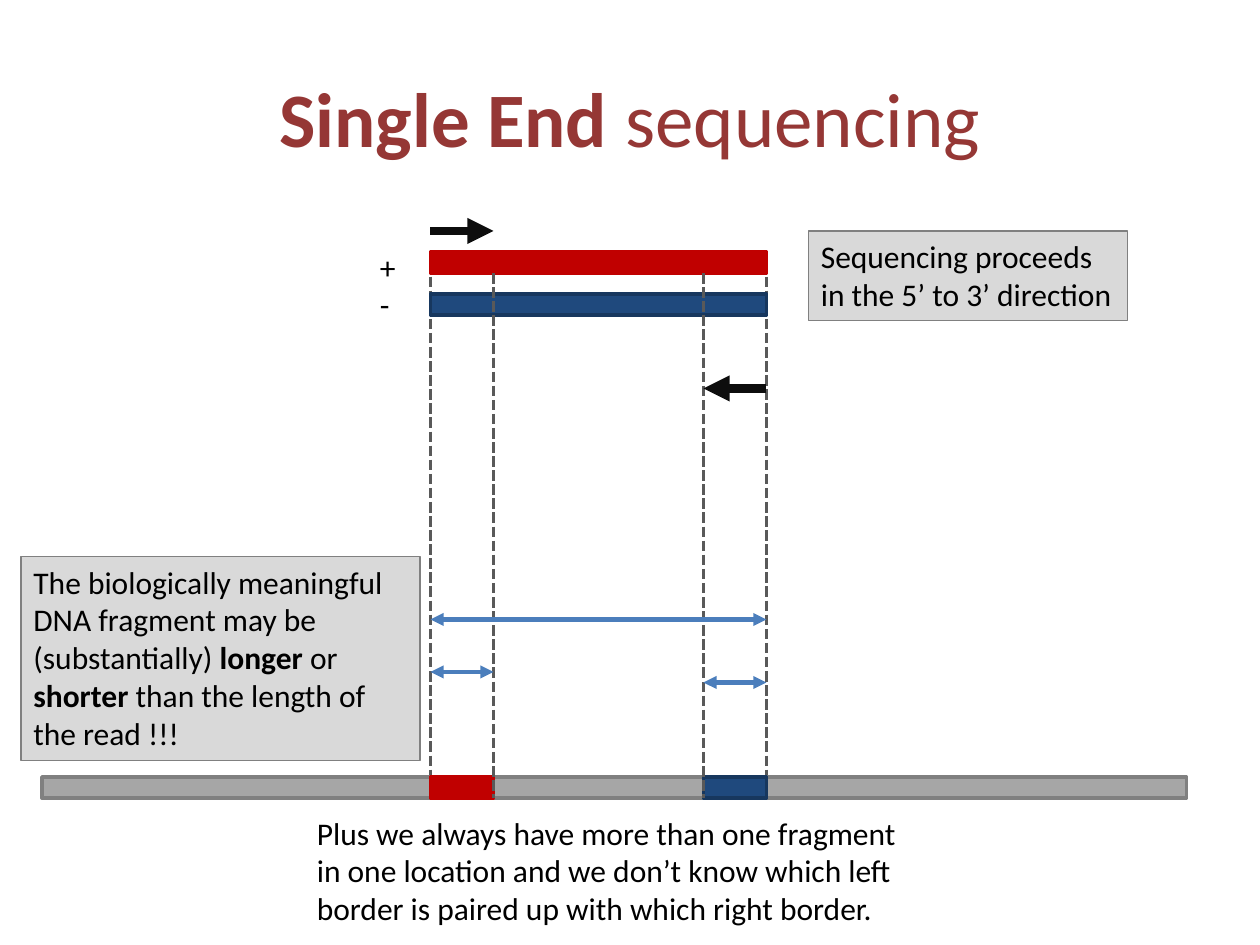
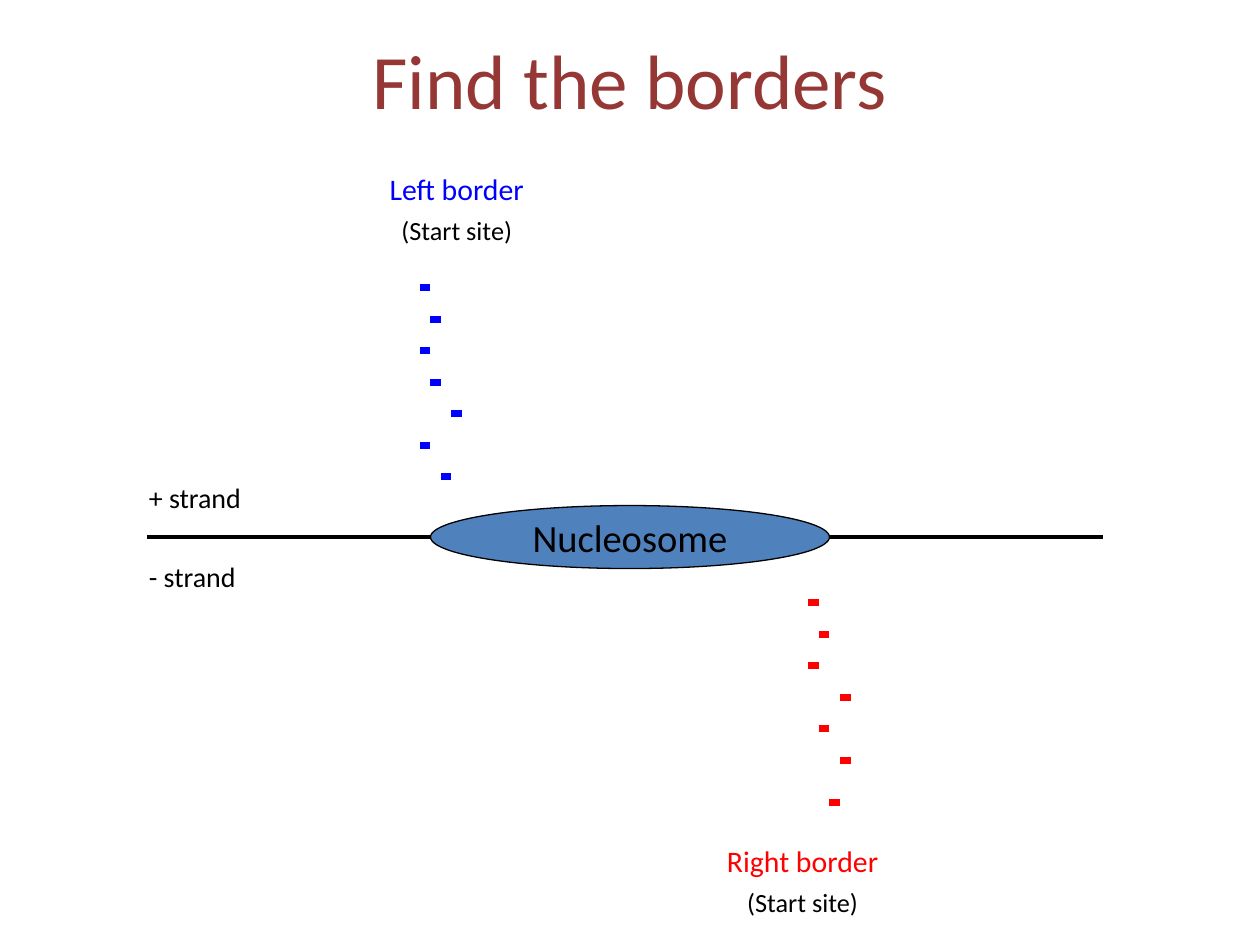
"""Build two slides on sequencing reads and nucleosome borders."""
from dataclasses import dataclass
from typing import NamedTuple

from lxml.etree import SubElement
from pptx import Presentation
from pptx.dml.color import RGBColor as Rgb
from pptx.enum.dml import MSO_LINE as Dash
from pptx.enum.shapes import MSO_CONNECTOR as Wire, MSO_SHAPE as Form
from pptx.enum.text import MSO_ANCHOR as Anchor, MSO_AUTO_SIZE as Fit, PP_ALIGN as Align
from pptx.oxml.ns import qn
from pptx.util import Inches, Pt

COLS, ROWS = 120, 90
WIDE, HIGH = Inches(10), Inches(7.5)
FONT = "Calibri"
HUES = {
    "title": "953735", "text": "000000", "panel": "D9D9D9", "edge": "808080",
    "plus": "C00000", "minus": "1F497D", "rim": "17375E", "genome": "A6A6A6",
    "guide": "595959", "read": "0D0D0D", "span": "4B7EBC", "core": "4F81BD",
    "left": "0000FF", "right": "FF0000",
}


class Run(NamedTuple):
    """A stretch of text in one style."""
    text: str
    size: float = 18
    hue: str = "text"
    bold: bool = False


class Spot(NamedTuple):
    """A place in grid columns and rows."""
    col: float
    row: float
    wide: float
    high: float


@dataclass(frozen=True)
class Pen:
    """A line style."""
    hue: str
    width: float
    dash: bool = False
    head: bool = False
    tail: bool = False


@dataclass(frozen=True)
class Border:
    """A set of read starts with its label."""
    name: str
    hue: str
    label: Spot
    row: float
    cols: tuple
    drop: float = 0


GUIDE = Pen("guide", 2, dash=True)
READ = Pen("read", 5, tail=True)
SPAN = Pen("span", 2.5, head=True, tail=True)
PANEL = Pen("edge", 0.75)
LEFT, NEAR, FAR, RIGHT = 41, 47, 67, 73
BASE, THICK = 74, 2
BORDERS = (
    Border("Left border", "left", Spot(34.8, 14.8, 17.4, 9.24), 27.4,
           (40, 41, 40, 41, 43, 40, 42)),
    Border("Right border", "right", Spot(66.72, 78.84, 19.44, 9.24), 57.4,
           (77, 78, 77, 80, 78, 80, 79), 1),
)


def x(col: float) -> int:
    """Turn a grid column into a length."""
    return round(WIDE * col / COLS)


def y(row: float) -> int:
    """Turn a grid row into a length."""
    return round(HIGH * row / ROWS)


def place(spot: Spot) -> tuple:
    """Turn a spot into left, top, width and height."""
    return x(spot.col), y(spot.row), x(spot.wide), y(spot.high)


def tint(hue: str) -> Rgb:
    """Look up a colour."""
    return Rgb.from_string(HUES[hue])


def write(frame, paras: list, align=Align.LEFT, gap: float = 1.0) -> None:
    """Fill a text frame run by run."""
    for num, runs in enumerate(paras):
        para = frame.add_paragraph() if num else frame.paragraphs[0]
        para.alignment = align
        if gap != 1:
            para.line_spacing = gap
        for item in runs:
            run = para.add_run()
            run.text = item.text
            font = run.font
            font.name, font.size, font.bold = FONT, Pt(item.size), item.bold
            font.color.rgb = tint(item.hue)


def start(deck, top: float, runs: list):
    """Add a slide with its title."""
    slide = deck.slides.add_slide(deck.slide_layouts[5])
    title = slide.shapes.title
    title.left, title.top, title.width, title.height = place(Spot(6, top, 108, 15))
    title.text_frame.vertical_anchor = Anchor.MIDDLE
    write(title.text_frame, [runs], Align.CENTER)
    return slide


def block(slide, spot: Spot, fill: str, pen: Pen, form=Form.RECTANGLE):
    """Draw a filled shape."""
    shape = slide.shapes.add_shape(form, *place(spot))
    shape.shadow.inherit = False
    shape.fill.solid()
    shape.fill.fore_color.rgb = tint(fill)
    shape.line.color.rgb = tint(pen.hue)
    shape.line.width = Pt(pen.width)
    return shape


def panel(slide, spot: Spot, runs: list) -> None:
    """Draw a grey note."""
    frame = block(slide, spot, "panel", PANEL).text_frame
    frame.word_wrap = True
    frame.vertical_anchor = Anchor.TOP
    write(frame, [runs])


def label(slide, spot: Spot, paras: list, wrap: bool = False,
          align=Align.LEFT, gap: float = 1.0) -> None:
    """Add a text box."""
    frame = slide.shapes.add_textbox(*place(spot)).text_frame
    frame.word_wrap = wrap
    frame.auto_size = Fit.SHAPE_TO_FIT_TEXT
    write(frame, paras, align, gap)


def stroke(slide, col: float, row: float, end: float, foot: float, pen: Pen):
    """Draw a straight line between two grid points."""
    wire = slide.shapes.add_connector(Wire.STRAIGHT, x(col), y(row), x(end), y(foot))
    SubElement(wire._element.spPr, qn("a:effectLst"))
    wire.line.color.rgb = tint(pen.hue)
    wire.line.width = Pt(pen.width)
    if pen.dash:
        wire.line.dash_style = Dash.SQUARE_DOT
    for tag, shown in (("a:headEnd", pen.head), ("a:tailEnd", pen.tail)):
        if shown:
            SubElement(wire.line._get_or_add_ln(), qn(tag), type="triangle")
    return wire


def single(deck) -> None:
    """Build the single end slide."""
    slide = start(deck, 3.6, [Run("Single End ", 44, "title", True),
                              Run("sequencing", 44, "title")])
    panel(slide, Spot(77, 22, 30.36, 8.52),
          [Run("Sequencing proceeds in the 5’ to 3’ direction")])
    outer = [stroke(slide, col, 25, col, 75, GUIDE) for col in (LEFT, RIGHT)]
    red, blue, grey = Pen("plus", 2), Pen("rim", 2), Pen("edge", 2)
    full, part = RIGHT - LEFT, NEAR - LEFT
    strand = block(slide, Spot(LEFT, 24, full, THICK), "plus", red)
    block(slide, Spot(LEFT, 28, full, THICK), "minus", blue)
    block(slide, Spot(4, BASE, 109, THICK), "genome", grey)
    ends = (block(slide, Spot(LEFT, BASE, part, THICK), "plus", red),
            block(slide, Spot(FAR, BASE, part, THICK), "minus", blue))
    for wire, end, side in zip(outer, ends, (1, 3)):
        wire.begin_connect(strand, side)
        wire.end_connect(end, side)
    label(slide, Spot(35, 23, 4, 8.52), [[Run("+")], [Run("-")]])
    label(slide, Spot(29, 76.9, 60, 12.12), [[Run(
        "Plus we always have more than one fragment in one location and we "
        "don’t know which left border is paired up with which right border.")]], True)
    panel(slide, Spot(2, 53, 38, 19.44), [
        Run("The biologically meaningful DNA fragment may be (substantially) "),
        Run("longer", bold=True), Run(" or "), Run("shorter", bold=True),
        Run(" than the length of the read !!!")])
    for col in (NEAR, FAR):
        stroke(slide, col, 26, col, 76, GUIDE)
    for col, end, row, pen in ((LEFT, NEAR, 22, READ), (RIGHT, FAR, 37, READ),
                               (LEFT, RIGHT, 59, SPAN), (LEFT, NEAR, 64, SPAN),
                               (FAR, RIGHT, 65, SPAN)):
        stroke(slide, col, row, end, row, pen)


def borders(deck) -> None:
    """Build the border slide."""
    slide = start(deck, 0, [Run("Find the borders", 44, "title")])
    stroke(slide, 14, 51.15, 105, 51.15, Pen("text", 2.75))
    core = block(slide, Spot(41, 48.15, 38, 6), "core", Pen("text", 0.75), Form.OVAL)
    core.text_frame.word_wrap = False
    core.text_frame.vertical_anchor = Anchor.MIDDLE
    write(core.text_frame, [[Run("Nucleosome", 22)]], Align.CENTER)
    for text, row, wide in (("+ strand", 45.15, 11.5), ("- strand", 52.75, 11)):
        label(slide, Spot(13, row, wide, 4.44), [[Run(text, 16)]])
    for side in BORDERS:
        last = len(side.cols) - 1
        for num, col in enumerate(side.cols):
            row = side.row + 3 * num + (side.drop if num == last else 0)
            stroke(slide, col, row, col + 1, row, Pen(side.hue, 4))
        label(slide, side.label, [[Run(side.name, 17, side.hue)],
                                  [Run("(Start site)", 15)]],
              align=Align.CENTER, gap=1.25)


def main() -> None:
    """Build and save the deck."""
    deck = Presentation()
    deck.slide_width, deck.slide_height = WIDE, HIGH
    single(deck)
    borders(deck)
    deck.save("out.pptx")


if __name__ == "__main__":
    main()
